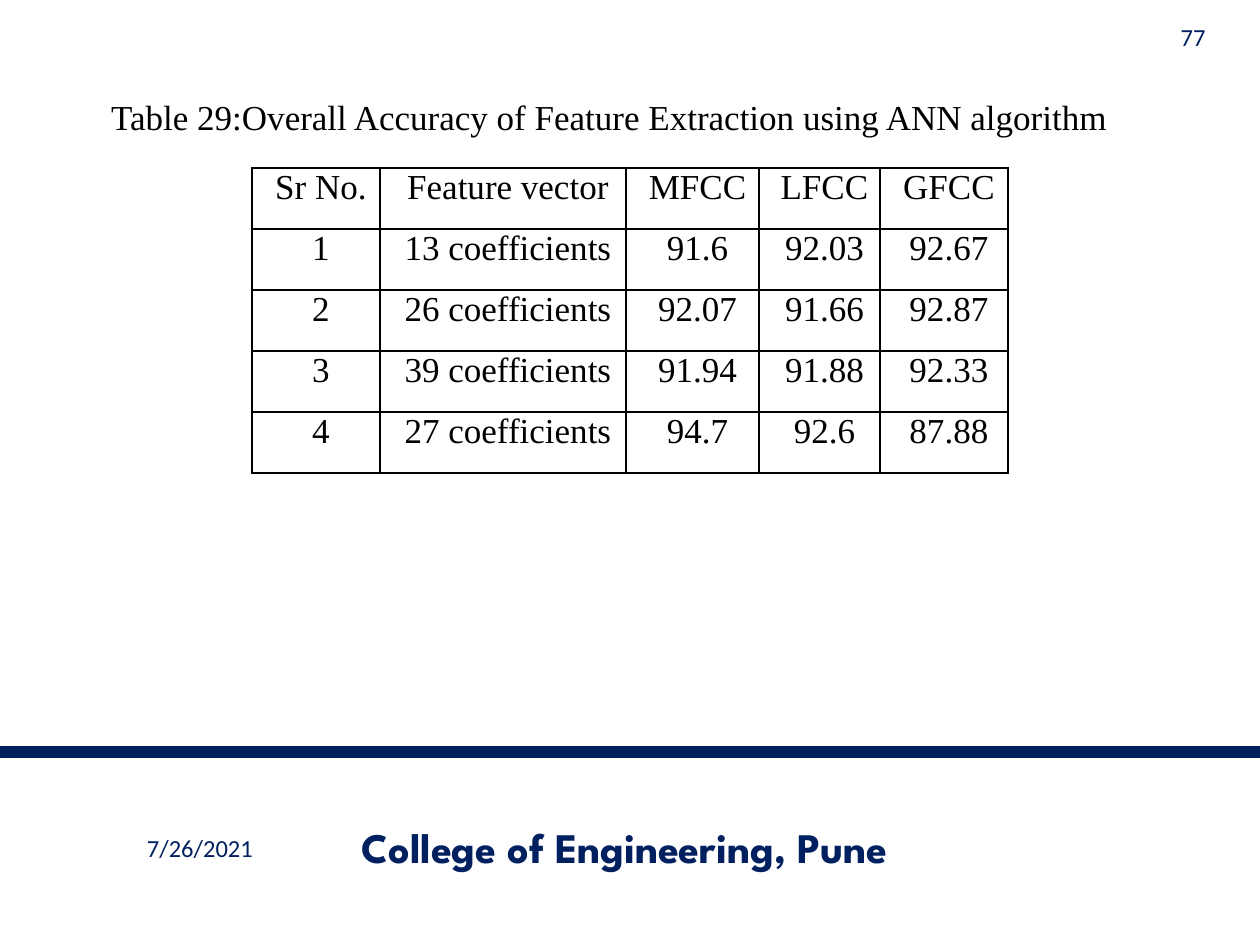
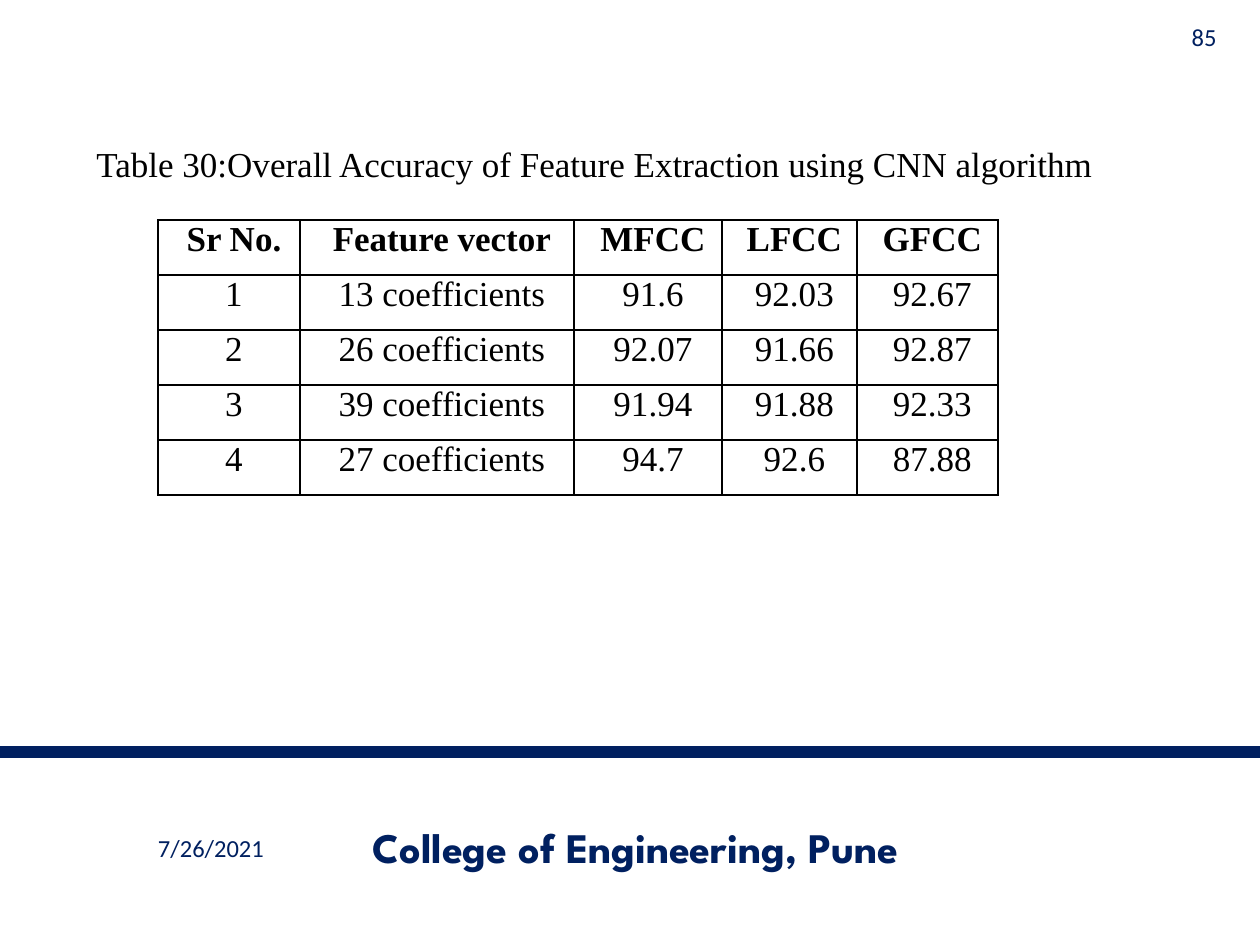
from pptx import Presentation
from pptx.dml.color import RGBColor
from pptx.enum.shapes import MSO_CONNECTOR
from pptx.enum.text import MSO_ANCHOR, PP_ALIGN
from pptx.oxml import parse_xml
from pptx.oxml.ns import nsdecls, qn
from pptx.util import Pt
from lxml.etree import SubElement

SCALE = 914400 / 126
COLORS = {"navy": "002060", "black": "000000"}
SERIF = "Times New Roman"

HEAD = ["Sr No.", "Feature vector", "MFCC", "LFCC", "GFCC"]
SCORES = [
    ["1", "13 coefficients", "91.6", "92.03", "92.67"],
    ["2", "26 coefficients", "92.07", "91.66", "92.87"],
    ["3", "39 coefficients", "91.94", "91.88", "92.33"],
    ["4", "27 coefficients", "94.7", "92.6", "87.88"],
]


def px(count):
    return round(count * SCALE)


class Deck:
    def __init__(self):
        self.prs = Presentation()
        self.prs.slide_width = px(1260)
        self.prs.slide_height = px(945)
        self.slide = None

    def start(self, page, shift):
        self.slide = self.prs.slides.add_slide(self.prs.slide_layouts[6])
        self.line(0, 752, 1260, 752, 6.5)
        self.text(53 + shift, 823, 294, 50, "7/26/2021", 14)
        self.text(294 + shift, 822, 661, 50, "College of Engineering, Pune", 24,
                  font="League Spartan", bold=True)
        self.text(1155 + shift, 19, 63, 35, page, 14, align=PP_ALIGN.RIGHT)

    def line(self, left, top, right, bottom, width):
        rule = self.slide.shapes.add_connector(
            MSO_CONNECTOR.STRAIGHT, px(left), px(top), px(right), px(bottom))
        rule.line.color.rgb = RGBColor.from_string(COLORS["navy"])
        rule.line.width = Pt(width)
        SubElement(rule._element.spPr, qn("a:effectLst"))

    def run(self, para, words, size, font, color, bold, align):
        para.alignment = align
        run = para.add_run()
        run.text = words
        run.font.size = Pt(size)
        run.font.name = font
        run.font.bold = bold
        run.font.color.rgb = RGBColor.from_string(COLORS[color])

    def text(self, left, top, width, height, words, size, font="Calibri",
             color="navy", bold=False, align=PP_ALIGN.CENTER,
             anchor=MSO_ANCHOR.MIDDLE):
        box = self.slide.shapes.add_textbox(
            px(left), px(top), px(width), px(height))
        frame = box.text_frame
        frame.word_wrap = True
        frame.vertical_anchor = anchor
        self.run(frame.paragraphs[0], words, size, font, color, bold, align)

    def title(self, left, top, width, height, words, align):
        self.text(left, top, width, height, words, 20, SERIF, "black",
                  align=align, anchor=MSO_ANCHOR.TOP)

    def edge(self, cell):
        props = cell._tc.get_or_add_tcPr()
        for spot, side in enumerate("LRTB"):
            props.insert(spot, parse_xml(
                f'<a:ln{side} {nsdecls("a")} w="12700"><a:solidFill>'
                f'<a:srgbClr val="{COLORS["black"]}"/></a:solidFill></a:ln{side}>'))

    def table(self, left, top, widths, pitch, rows, bold):
        grid = self.slide.shapes.add_table(
            len(rows), len(widths), px(left), px(top),
            px(sum(widths)), px(pitch * len(rows))).table
        grid.first_row = grid.horz_banding = False
        for col, width in zip(grid.columns, widths):
            col.width = px(width)
        for r, row in enumerate(rows):
            grid.rows[r].height = px(pitch)
            for c, words in enumerate(row):
                cell = grid.cell(r, c)
                cell.margin_left = px(10)
                cell.margin_right = cell.margin_top = cell.margin_bottom = 0
                cell.fill.background()
                self.edge(cell)
                self.run(cell.text_frame.paragraphs[0], words, 20, SERIF,
                         "black", bold and r == 0, PP_ALIGN.CENTER)


def main():
    deck = Deck()
    rows = [HEAD] + SCORES

    deck.start("77", 0)
    deck.table(252, 168, [128, 246, 133, 121, 128], 61, rows, False)
    deck.title(95, 89, 1029, 97,
               "Table 29:Overall Accuracy of Feature Extraction using ANN algorithm",
               PP_ALIGN.CENTER)

    deck.start("85", 11)
    deck.table(158, 220, [142, 274, 148, 135, 141], 55, rows, True)
    deck.title(84, 136, 1050, 55,
               "Table 30:Overall Accuracy of Feature Extraction using CNN algorithm",
               PP_ALIGN.LEFT)

    deck.prs.save("out.pptx")


if __name__ == "__main__":
    main()
